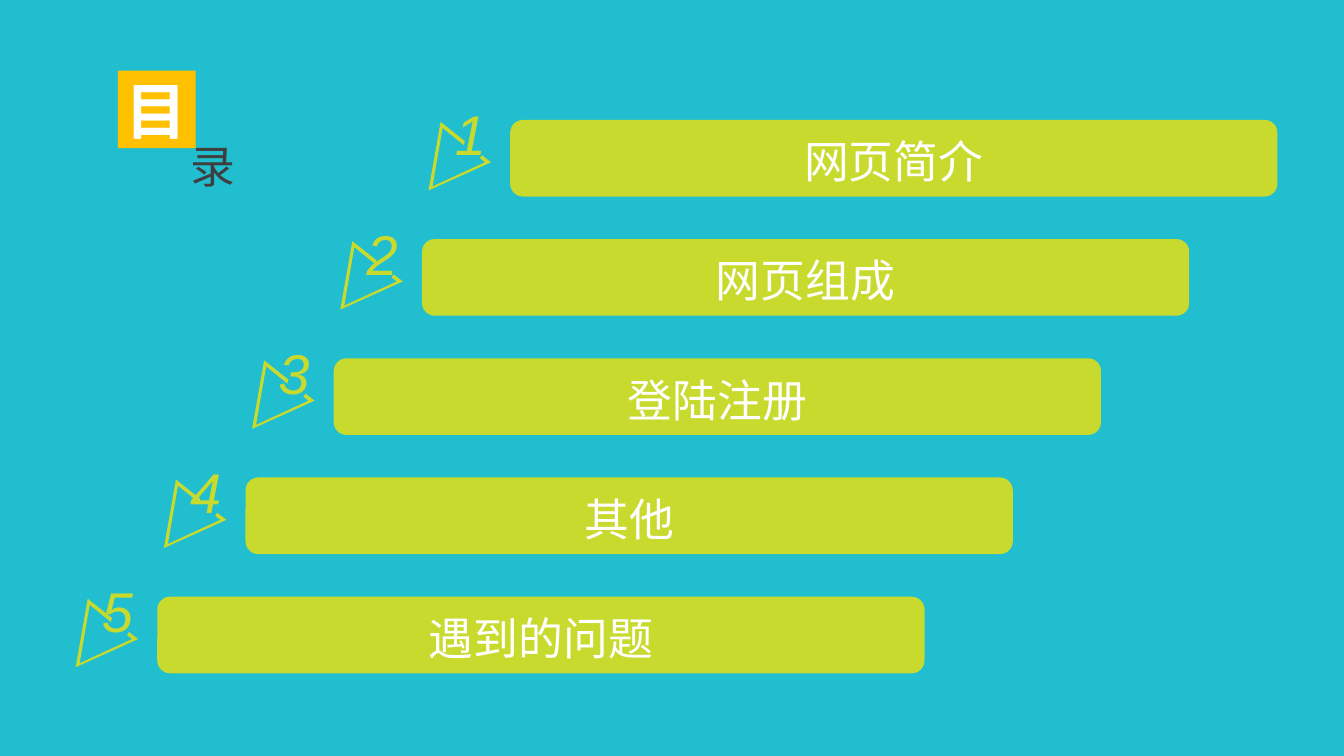
from pptx import Presentation
from pptx.dml.color import RGBColor
from pptx.enum.shapes import MSO_SHAPE
from pptx.enum.text import MSO_ANCHOR, MSO_AUTO_SIZE, PP_ALIGN
from pptx.util import Inches, Pt

TURQUOISE = RGBColor(0x21, 0xBE, 0xCF)
LIME = RGBColor(0xC8, 0xDA, 0x2D)
AMBER = RGBColor(0xFF, 0xC0, 0x00)
WHITE = RGBColor(0xFF, 0xFF, 0xFF)
CHARCOAL = RGBColor(0x3F, 0x3F, 0x3F)

HEADING_START, HEADING_END = "目", "录"
CHAPTERS = ["网页简介", "网页组成", "登陆注册", "其他", "遇到的问题"]

FIRST_BAR, LAST_BAR = (5.06, 1.19), (1.56, 5.92)
BAR_SIZE = (7.61, 0.76)
NUMBER_OFFSET, NUMBER_SIZE = (-0.65, -0.25), (0.51, 0.77)
POINTER_OUTLINE = [
    (-0.69, 0.02), (-0.45, 0.21), (-0.46, 0.25), (-0.67, 0.08), (-0.77, 0.66),
    (-0.25, 0.42), (-0.30, 0.38), (-0.28, 0.35), (-0.19, 0.42), (-0.81, 0.70),
]


def write_text(shape, text, size, color, bold=False, italic=False,
               anchor=MSO_ANCHOR.MIDDLE, spacing=1.0, inset=0.05):
    """Put one centred, formatted line of text into a shape."""
    frame = shape.text_frame
    frame.word_wrap = True
    frame.auto_size = MSO_AUTO_SIZE.NONE
    frame.vertical_anchor = anchor
    frame.margin_left = frame.margin_right = 0
    frame.margin_top = frame.margin_bottom = Inches(inset)
    paragraph = frame.paragraphs[0]
    paragraph.alignment = PP_ALIGN.CENTER
    paragraph.line_spacing = spacing
    run = paragraph.add_run()
    run.text = text
    font = run.font
    font.name, font.size, font.color.rgb = "Arial", Pt(size), color
    font.bold, font.italic = bold, italic


def paint(shape, color):
    shape.shadow.inherit = False
    shape.fill.solid()
    shape.fill.fore_color.rgb = color
    shape.line.fill.background()


def add_chapter(slide, number, name, left, top):
    shapes = slide.shapes.add_group_shape().shapes
    bar = shapes.add_shape(MSO_SHAPE.ROUNDED_RECTANGLE, Inches(left), Inches(top),
                           *map(Inches, BAR_SIZE))
    paint(bar, LIME)
    write_text(bar, name, 32, WHITE, spacing=1.1)

    points = [(Inches(left + x), Inches(top + y)) for x, y in POINTER_OUTLINE]
    builder = shapes.build_freeform(*points[0])
    builder.add_line_segments(points[1:], close=True)
    paint(builder.convert_to_shape(), LIME)

    label = shapes.add_textbox(Inches(left + NUMBER_OFFSET[0]), Inches(top + NUMBER_OFFSET[1]),
                               *map(Inches, NUMBER_SIZE))
    write_text(label, str(number), 40, LIME, italic=True)


presentation = Presentation()
presentation.slide_width = Inches(13.33)
presentation.slide_height = Inches(7.5)
slide = presentation.slides.add_slide(presentation.slide_layouts[5])
slide.background.fill.solid()
slide.background.fill.fore_color.rgb = TURQUOISE

steps = len(CHAPTERS) - 1
step_x, step_y = [(last - first) / steps for first, last in zip(FIRST_BAR, LAST_BAR)]
for index, chapter in enumerate(CHAPTERS):
    add_chapter(slide, index + 1, chapter,
                FIRST_BAR[0] + index * step_x, FIRST_BAR[1] + index * step_y)

title = slide.shapes.title
title.left, title.top = Inches(1.17), Inches(0.7)
title.width = title.height = Inches(0.77)
title.fill.solid()
title.fill.fore_color.rgb = AMBER
write_text(title, HEADING_START, 44, WHITE, bold=True, inset=0)

heading_end = slide.shapes.add_textbox(Inches(1.81), Inches(1.33), Inches(0.61), Inches(0.64))
write_text(heading_end, HEADING_END, 32, CHARCOAL, anchor=MSO_ANCHOR.TOP)

presentation.save("out.pptx")
